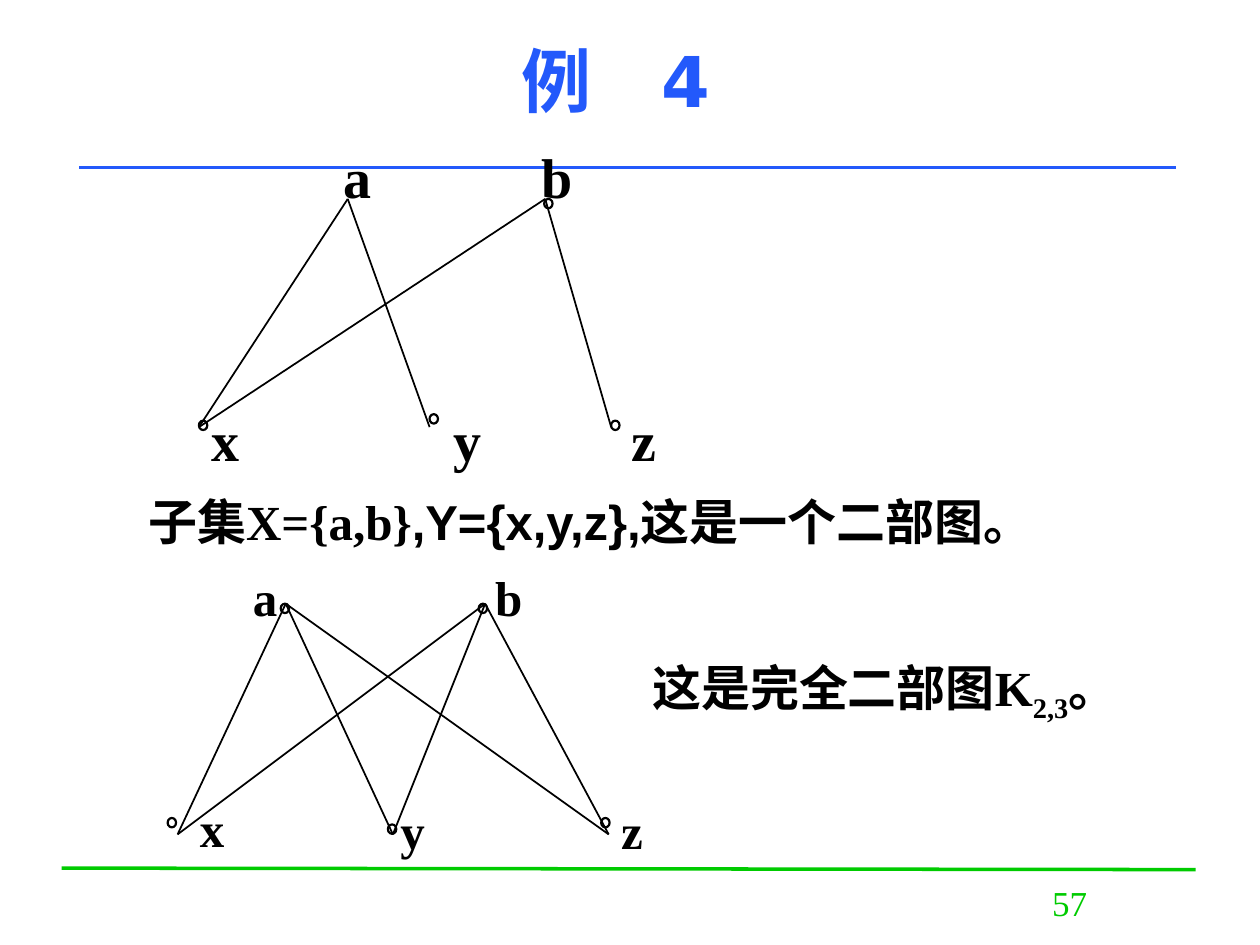
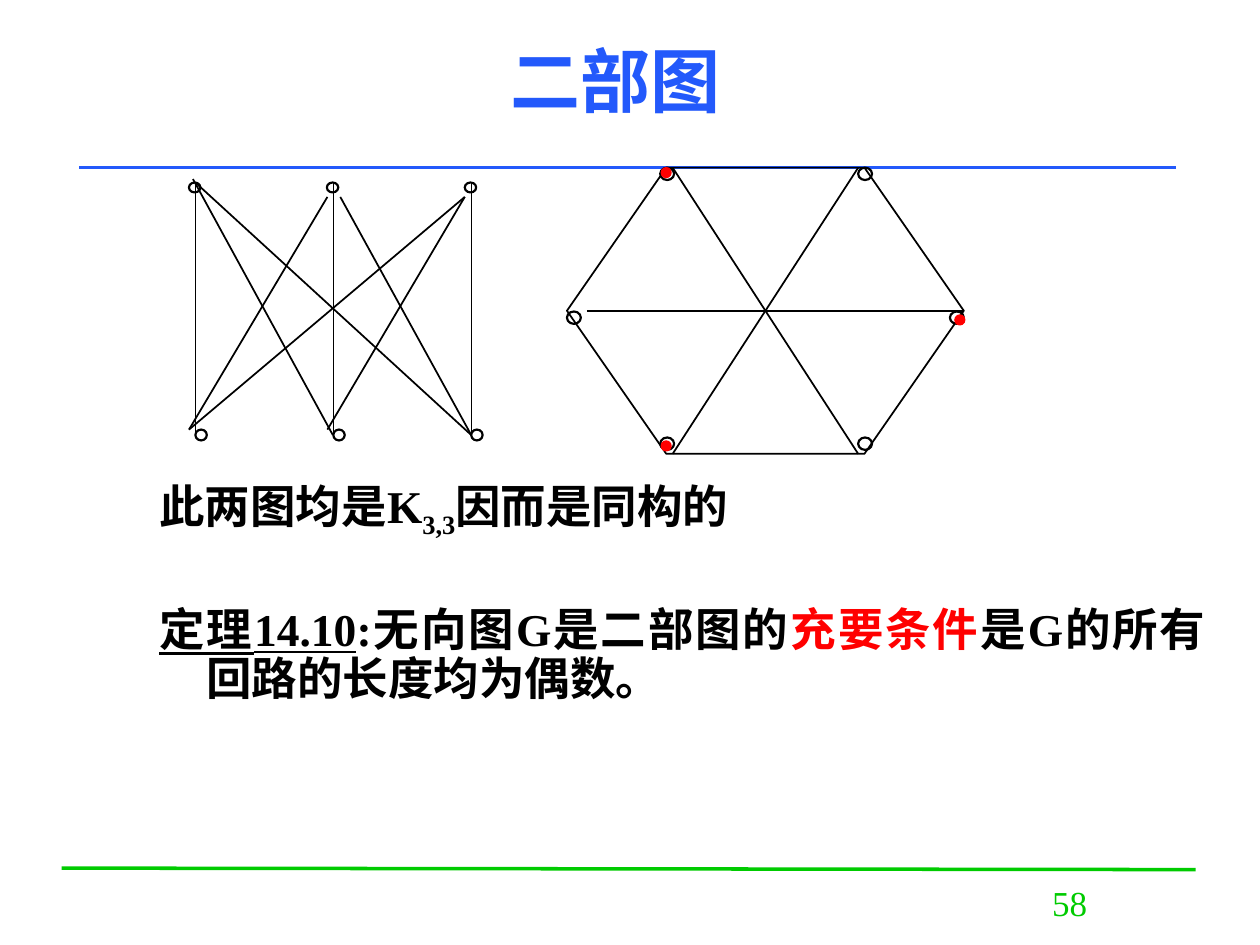
from lxml.etree import SubElement
from pptx import Presentation
from pptx.dml.color import RGBColor
from pptx.enum.shapes import MSO_CONNECTOR, MSO_SHAPE
from pptx.enum.text import MSO_ANCHOR, PP_ALIGN
from pptx.oxml.ns import qn
from pptx.util import Cm, Pt

BLACK = RGBColor(0x00, 0x00, 0x00)
BLUE = RGBColor(0x23, 0x59, 0xFB)
GREEN = RGBColor(0x00, 0xCB, 0x00)
RED = RGBColor(0xFF, 0x00, 0x00)
SERIF = "Times New Roman"
SANS = "Arial"
TITLE_FONT = "DejaVu Sans"


def add_line(slide, start, end, color=BLACK, width=1):
    connector = slide.shapes.add_connector(
        MSO_CONNECTOR.STRAIGHT, *(Cm(value) for value in (*start, *end)))
    connector.line.color.rgb = color
    connector.line.width = Pt(width)
    SubElement(connector._element.spPr, qn("a:effectLst"))


def add_outline(slide, kind, left, top, width, height, line_width=1.25, fill=None):
    shape = slide.shapes.add_shape(kind, Cm(left), Cm(top), Cm(width), Cm(height))
    shape.shadow.inherit = False
    if fill is None:
        shape.fill.background()
    else:
        shape.fill.solid()
        shape.fill.fore_color.rgb = fill
    shape.line.color.rgb = BLACK if fill is None else fill
    shape.line.width = Pt(line_width)
    return shape


def add_text_frame(slide, left, top, width, height):
    text_box = slide.shapes.add_textbox(Cm(left), Cm(top), Cm(width), Cm(height))
    text_box.text_frame.word_wrap = True
    return text_box.text_frame


def add_run(paragraph, text, size, font=SERIF, color=BLACK, bold=True,
            underline=False, subscript=False):
    run = paragraph.add_run()
    run.text = text
    run.font.size = Pt(size)
    run.font.name = font
    run.font.bold = bold
    run.font.color.rgb = color
    if underline:
        run.font.underline = True
    if subscript:
        run._r.get_or_add_rPr().set("baseline", "-25000")


def add_statement(slide, box, space_before):
    """Adds a one-paragraph text box and returns the paragraph to fill."""
    paragraph = add_text_frame(slide, *box).paragraphs[0]
    paragraph.alignment = PP_ALIGN.JUSTIFY
    paragraph.space_before = Pt(space_before)
    return paragraph


def add_framed_slide(presentation, title, number):
    slide = presentation.slides.add_slide(presentation.slide_layouts[6])
    # Rules above the footer and under the title
    add_line(slide, (1.24, 17.5), (24.1, 17.53), GREEN, 2)
    add_line(slide, (1.6, 3.38), (23.7, 3.38), BLUE, 2)
    # Page number
    paragraph = add_text_frame(slide, 19.56, 17.65, 4.01, 1.27).paragraphs[0]
    paragraph.alignment = PP_ALIGN.CENTER
    paragraph.space_before = Pt(12.5)
    add_run(paragraph, number, 20, color=GREEN, bold=False)
    # Title
    frame = add_text_frame(slide, 3.18, 0.43, 18.47, 2.34)
    frame.vertical_anchor = MSO_ANCHOR.MIDDLE
    frame.paragraphs[0].alignment = PP_ALIGN.CENTER
    add_run(frame.paragraphs[0], title, 40, TITLE_FONT, BLUE)
    return slide


def draw_labelled_graph(slide, left, top, vertices, edges, circles, labels, size):
    """Draws edges given as letter pairs, then vertex circles and letters."""
    def place(point):
        return left + point[0], top + point[1]

    for start, end in edges:
        add_line(slide, place(vertices[start]), place(vertices[end]))
    for point in circles:
        add_outline(slide, MSO_SHAPE.OVAL, *place(point), 0.17, 0.19)
    for letter, point in labels.items():
        frame = add_text_frame(slide, *place(point), 1.27, 1.32)
        add_run(frame.paragraphs[0], letter, size)


def draw_k33(slide, left, top):
    pitch = 2.78
    # Vertices and upright edges, column by column
    for column in range(3):
        x = left + column * pitch
        add_outline(slide, MSO_SHAPE.OVAL, x, top + 0.07, 0.23, 0.2)
        add_outline(slide, MSO_SHAPE.OVAL, x + 0.13, top + 5.05, 0.23, 0.22)
        add_line(slide, (x + 0.13, top + 0.07), (x + 0.13, top + 5.16), width=0.75)
    # Slanted edges
    for x1, y1, x2, y2 in (
            (0, 5.05, 5.56, 0.36), (0.13, 0.07, 5.69, 5.16), (2.79, 0.36, 0, 5.05),
            (3.05, 0.36, 5.69, 5.16), (0.08, 0, 2.9, 5.16), (2.79, 5.05, 5.56, 0.36)):
        add_line(slide, (left + x1, top + y1), (left + x2, top + y2))


def draw_hexagon(slide, left, top, width, height):
    bottom, middle = top + height, top + height / 2
    near, far = left + 2.13, left + width - 2.13
    # Outline and diagonals
    add_line(slide, (far, top), (near, bottom))
    add_line(slide, (near, top), (far, bottom))
    add_line(slide, (left + 0.4, middle), (left + width, middle))
    hexagon = add_outline(slide, MSO_SHAPE.HEXAGON, left, top, width, height, 1)
    hexagon.adjustments[0] = 0.347
    # Vertices
    for x, y in ((0, 2.9), (1.88, 0), (5.87, 0), (1.88, 5.44), (5.87, 5.44), (7.72, 2.9)):
        add_outline(slide, MSO_SHAPE.OVAL, left + x, top + y, 0.28, 0.25)
    # Red marks on one of the two vertex classes
    for x, y in ((1.9, 5.51), (7.82, 2.97), (1.9, 0)):
        add_outline(slide, MSO_SHAPE.OVAL, left + x, top + y, 0.2, 0.2, 0.75, RED)


def build_example_slide(presentation):
    slide = add_framed_slide(presentation, "例　4", "57")
    # Bipartite graph
    draw_labelled_graph(
        slide, 4.01, 4.01,
        vertices={"a": (3, 0), "b": (6.98, 0), "x": (0, 4.6), "y": (4.65, 4.6),
                  "z": (8.31, 4.6)},
        edges=("ax", "xb", "bz", "ay"),
        circles=((6.96, 0), (0, 4.47), (4.65, 4.34), (8.31, 4.47)),
        labels={"a": (2.67, -1.27), "b": (6.66, -1.27), "x": (0, 4.04),
                "y": (4.88, 4.04), "z": (8.48, 4.04)},
        size=32)
    paragraph = add_statement(slide, (2.74, 9.78, 21.8, 1.45), 7)
    add_run(paragraph, "子集X={a,b}", 28)
    add_run(paragraph, ",Y={x,y,z},", 28, SANS)
    add_run(paragraph, "这是一个二部图。", 28)
    # Complete bipartite graph
    draw_labelled_graph(
        slide, 3.38, 12.17,
        vertices={"a": (2.38, 0), "b": (6.4, 0), "x": (0.2, 4.65), "y": (4.54, 4.65),
                  "z": (8.89, 4.65)},
        edges=[upper + lower for upper in "ab" for lower in "xyz"],
        circles=((2.28, 0), (6.27, 0), (0, 4.32), (4.44, 4.45), (8.74, 4.32)),
        labels={"a": (1.47, -0.86), "b": (6.35, -0.86), "x": (0.4, 3.81),
                "y": (4.44, 3.84), "z": (8.89, 3.84)},
        size=28)
    paragraph = add_statement(slide, (12.9, 13.13, 12.07, 1.6), 17.5)
    add_run(paragraph, "这是完全二部图K", 28)
    add_run(paragraph, "2,3", 28, subscript=True)
    add_run(paragraph, "。", 28)


def add_theorem_text(slide, left, top, width, height):
    frame = add_text_frame(slide, left, top, width, height)
    isomorphism, theorem = frame.paragraphs[0], frame.add_paragraph()
    for paragraph, space_before in ((isomorphism, 6.5), (theorem, 41.5)):
        paragraph.alignment = PP_ALIGN.JUSTIFY
        paragraph.line_spacing = 0.9
        paragraph.space_before = Pt(space_before)
        # Hanging indent
        properties = paragraph._p.get_or_add_pPr()
        properties.set("marL", str(Cm(0.95)))
        properties.set("indent", str(Cm(-0.95)))
    add_run(isomorphism, "此两图均是K", 26)
    add_run(isomorphism, "3,3", 26, subscript=True)
    add_run(isomorphism, "因而是同构的", 26)
    add_run(theorem, "定理14.10", 26, underline=True)
    add_run(theorem, ":无向图G是二部图的", 26)
    add_run(theorem, "充要条件", 26, color=RED)
    add_run(theorem, "是G的所有回路的长度均为偶数。", 26)


def build_theorem_slide(presentation):
    slide = add_framed_slide(presentation, "二部图", "58")
    add_theorem_text(slide, 2.96, 9.53, 21.59, 8.04)
    draw_k33(slide, 3.81, 3.61)
    draw_hexagon(slide, 11.43, 3.38, 8, 5.77)


def main():
    presentation = Presentation()
    presentation.slide_width = Cm(25.4)
    presentation.slide_height = Cm(19.05)
    build_example_slide(presentation)
    build_theorem_slide(presentation)
    presentation.save("out.pptx")


if __name__ == "__main__":
    main()
